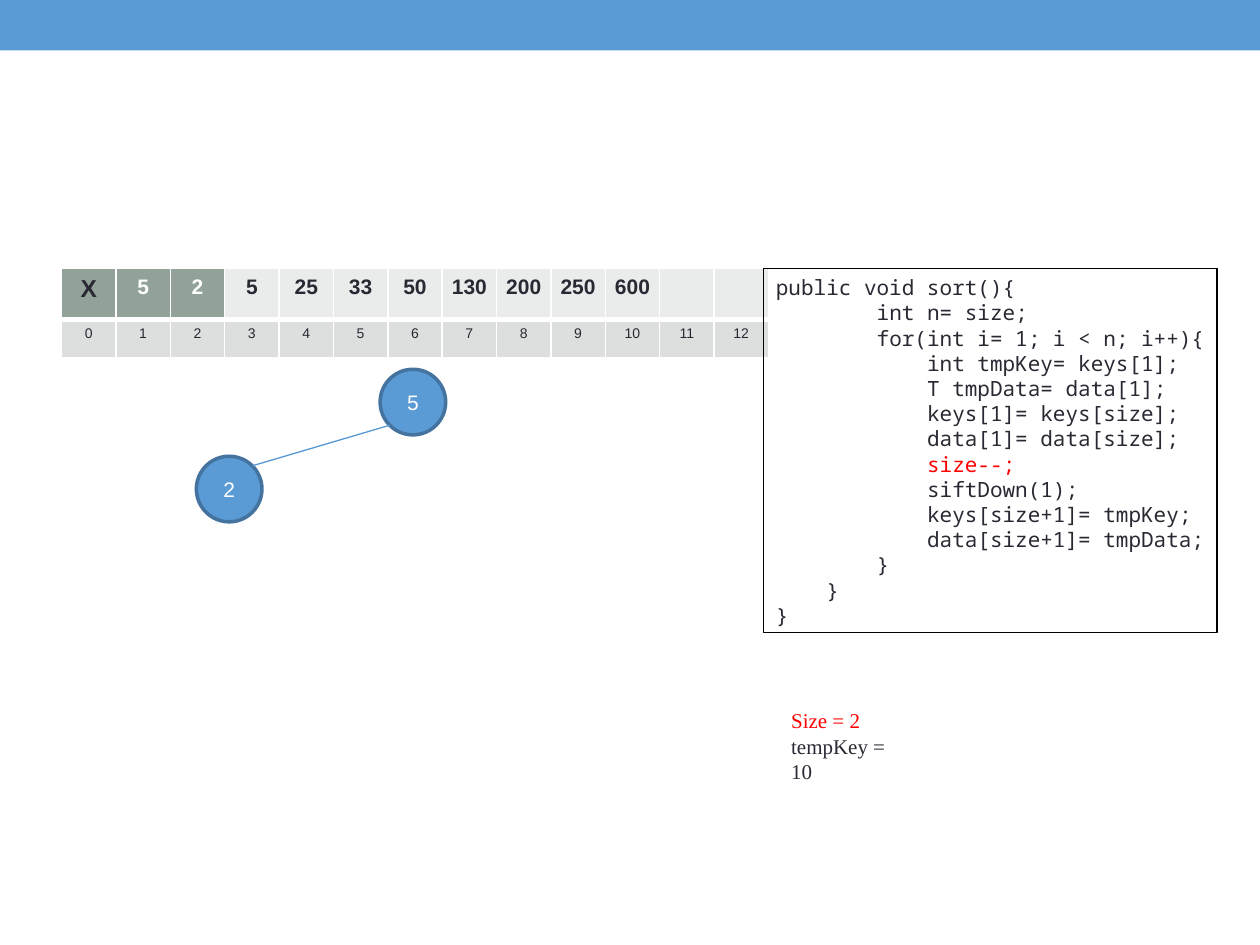
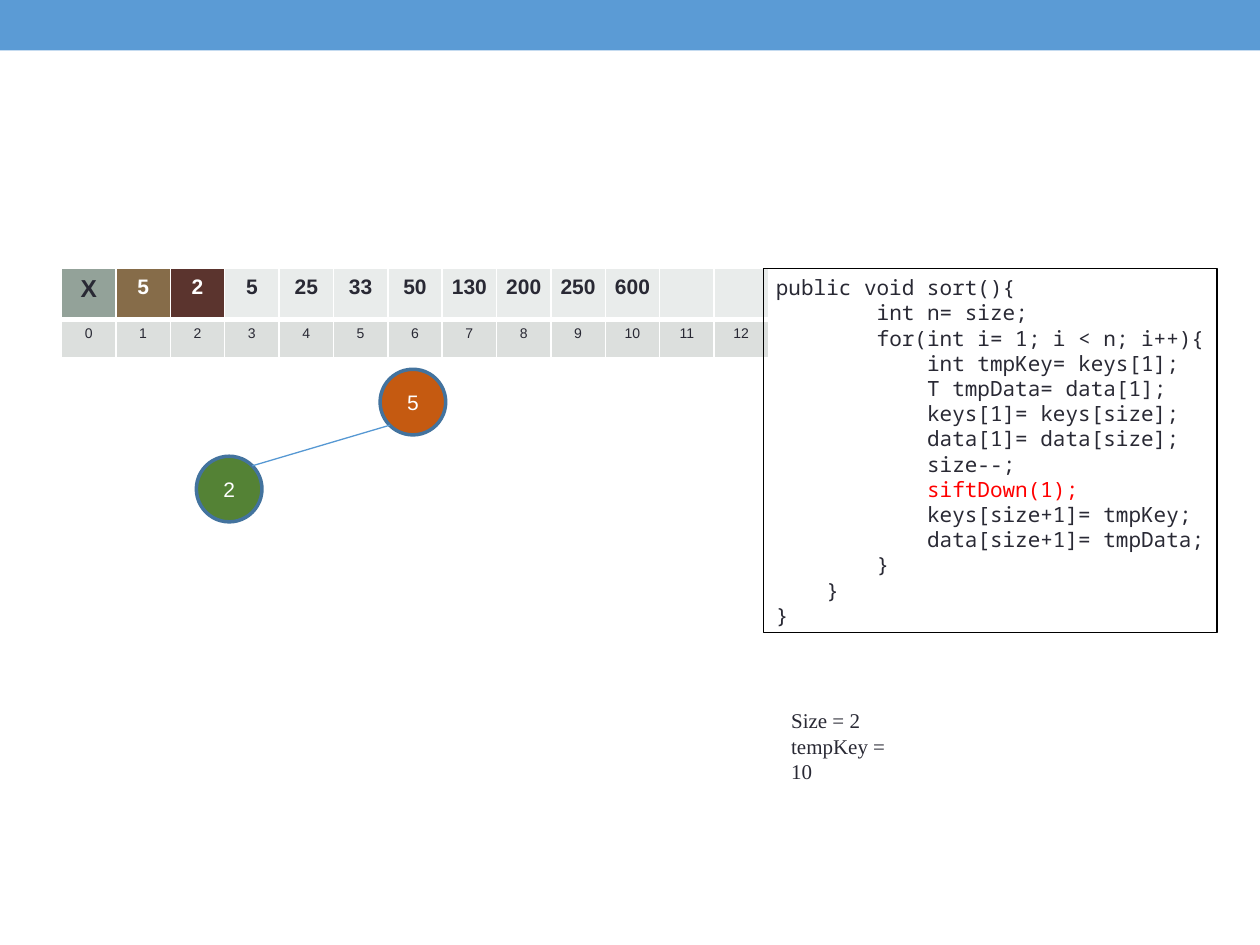
from math import sqrt

from lxml.etree import SubElement
from pptx import Presentation
from pptx.dml.color import RGBColor
from pptx.enum.shapes import MSO_CONNECTOR, MSO_SHAPE
from pptx.enum.text import MSO_ANCHOR, PP_ALIGN
from pptx.oxml.ns import qn
from pptx.util import Pt

INK, WHITE, BLACK, RED = "292934", "FFFFFF", "000000", "FF0000"
BLUE, NODE_EDGE, TREE_LINE = "5B9BD5", "43739E", "5698D3"
HEAP_CELL, KEY_CELL, INDEX_CELL = "93A299", "E9ECEB", "DCDFDD"

# Boxes: left, top, width, height in points
ARRAY_BOX = (35.2, 153.5, 403.9, 44)
TREE_BOX = (112.2, 211, 142.5, 87.2)
CODE_BOX = (436.3, 153.4, 259.2, 208)
STATE_BOX = (445, 401, 82.8, 36)

KEYS = ["X", 5, 2, 5, 25, 33, 50, 130, 200, 250, 600, "", ""]
CODE_INDENT = 28.8  # four monospaced characters at 12 pt
CODE = [  # indent level, statement
    (0, "public void sort(){"),
    (2, "int n= size;"),
    (2, "for(int i= 1; i < n; i++){"),
    (3, "int tmpKey= keys[1];"),
    (3, "T tmpData= data[1];"),
    (3, "keys[1]= keys[size];"),
    (3, "data[1]= data[size];"),
    (3, "size--;"),
    (3, "siftDown(1);"),
    (3, "keys[size+1]= tmpKey;"),
    (3, "data[size+1]= tmpData;"),
    (2, "}"),
    (1, "}"),
    (0, "}"),
]
STATE = ["Size = 2", "tempKey = 10"]


def rgb(color):
    return RGBColor.from_string(color)


def paint(shape, fill=None, line=None, weight=0.75):
    shape.shadow.inherit = False
    if fill:
        shape.fill.solid()
        shape.fill.fore_color.rgb = rgb(fill)
    else:
        shape.fill.background()
    if line:
        shape.line.color.rgb = rgb(line)
        shape.line.width = Pt(weight)
    else:
        shape.line.fill.background()


def write(paragraph, text, font, color=INK, size=12, bold=False, align=PP_ALIGN.LEFT):
    paragraph.text = str(text)
    paragraph.alignment = align
    for run in paragraph.runs:
        run.font.name, run.font.size, run.font.bold = font, Pt(size), bold
        run.font.color.rgb = rgb(color)


def write_lines(frame, lines, font, highlight):
    """One paragraph per line; the highlighted line is red."""
    frame.word_wrap = False
    frame.vertical_anchor = MSO_ANCHOR.TOP
    frame.text = "\n".join(lines)
    for paragraph, line in zip(frame.paragraphs, lines):
        write(paragraph, line, font, RED if line == highlight else INK)


def add_master_band(prs, slide):
    """Draw the top band and move it to the master, behind its placeholders."""
    band = slide.shapes.add_shape(MSO_SHAPE.RECTANGLE, 0, 0, prs.slide_width, Pt(28.8))
    paint(band, BLUE)
    prs.slide_master.shapes.element.insert(2, band.element)


def border_cell(cell, **weights):
    properties = cell._tc.get_or_add_tcPr()
    for position, side in enumerate(("lnL", "lnR", "lnT", "lnB")):
        line = properties.makeelement(qn("a:" + side), {"w": str(Pt(weights.get(side, 0.96)))})
        fill = SubElement(line, qn("a:solidFill"))
        SubElement(fill, qn("a:srgbClr"), val=WHITE)
        properties.insert(position, line)


def add_array(slide, box, heap_fills):
    left, top, width, height = box
    count = len(KEYS)
    table = slide.shapes.add_table(2, count, *map(Pt, box)).table
    table.first_row = table.horz_banding = False
    for row in table.rows:
        row.height = Pt(height / 2)
    fills = heap_fills + [KEY_CELL] * (count - len(heap_fills))
    for index, (key, fill) in enumerate(zip(KEYS, fills)):
        table.columns[index].width = Pt(width / count)
        key_cell, index_cell = table.cell(0, index), table.cell(1, index)
        for cell, color in ((key_cell, fill), (index_cell, INDEX_CELL)):
            cell.margin_left = cell.margin_right = Pt(5)
            cell.margin_top = cell.margin_bottom = Pt(3.6)
            cell.fill.solid()
            cell.fill.fore_color.rgb = rgb(color)
        border_cell(key_cell, lnB=3)
        border_cell(index_cell, lnT=3)
        write(key_cell.text_frame.paragraphs[0], key, "Arial",
              WHITE if 0 < index < len(heap_fills) else INK,
              14 if key == "X" else 12, True, PP_ALIGN.CENTER)
        write(index_cell.text_frame.paragraphs[0], index, "Arial",
              size=8, align=PP_ALIGN.CENTER)


def add_tree(slide, box, root_fill, child_fill):
    left, top, width, height = box
    diameter = 37.5
    root = (left + width - diameter, top)
    child = (left, top + height - diameter)
    for (x, y), key, fill in ((root, 5, root_fill), (child, 2, child_fill)):
        node = slide.shapes.add_shape(MSO_SHAPE.OVAL, Pt(x), Pt(y), Pt(diameter), Pt(diameter))
        paint(node, fill, NODE_EDGE, 2)
        node.text_frame.vertical_anchor = MSO_ANCHOR.MIDDLE
        write(node.text_frame.paragraphs[0], key, "Arial", WHITE, align=PP_ALIGN.CENTER)

    # Edge between the diagonal points of both circles
    near = diameter * (1 - sqrt(0.5)) / 2
    far = diameter - near
    edge = slide.shapes.add_connector(
        MSO_CONNECTOR.STRAIGHT, Pt(root[0] + near), Pt(root[1] + far),
        Pt(child[0] + far), Pt(child[1] + near))
    edge.line.color.rgb = rgb(TREE_LINE)
    edge.line.width = Pt(0.75)
    SubElement(edge.element.spPr, qn("a:effectLst"))


def add_code(slide, box, highlight):
    listing = slide.shapes.add_shape(MSO_SHAPE.RECTANGLE, *map(Pt, box))
    paint(listing, line=BLACK)
    frame = listing.text_frame
    write_lines(frame, [statement for _, statement in CODE], "Noto Sans Mono", highlight)
    for paragraph, (level, _) in zip(frame.paragraphs, CODE):
        properties = paragraph._p.get_or_add_pPr()
        properties.set("marL", str(Pt(level * CODE_INDENT)))
        properties.set("indent", "0")


def add_state(slide, box, highlight):
    state = slide.shapes.add_textbox(*map(Pt, box))
    write_lines(state.text_frame, STATE, "Times New Roman", highlight)


def add_sort_step(prs, heap_fills, node_fills, code_line, state_line=None):
    slide = prs.slides.add_slide(prs.slide_layouts[6])
    add_array(slide, ARRAY_BOX, heap_fills)
    add_tree(slide, TREE_BOX, *node_fills)
    add_code(slide, CODE_BOX, code_line)
    add_state(slide, STATE_BOX, state_line)
    return slide


prs = Presentation()
prs.slide_width, prs.slide_height = Pt(720), Pt(540)

# Step 1: the heap shrinks
shrink = add_sort_step(prs, [HEAP_CELL] * 3, (BLUE, BLUE), "size--;", "Size = 2")
add_master_band(prs, shrink)

# Step 2: the root sifts down
add_sort_step(prs, [HEAP_CELL, "866C49", "5B342E"], ("C55A11", "548235"), "siftDown(1);")

prs.save("out.pptx")
